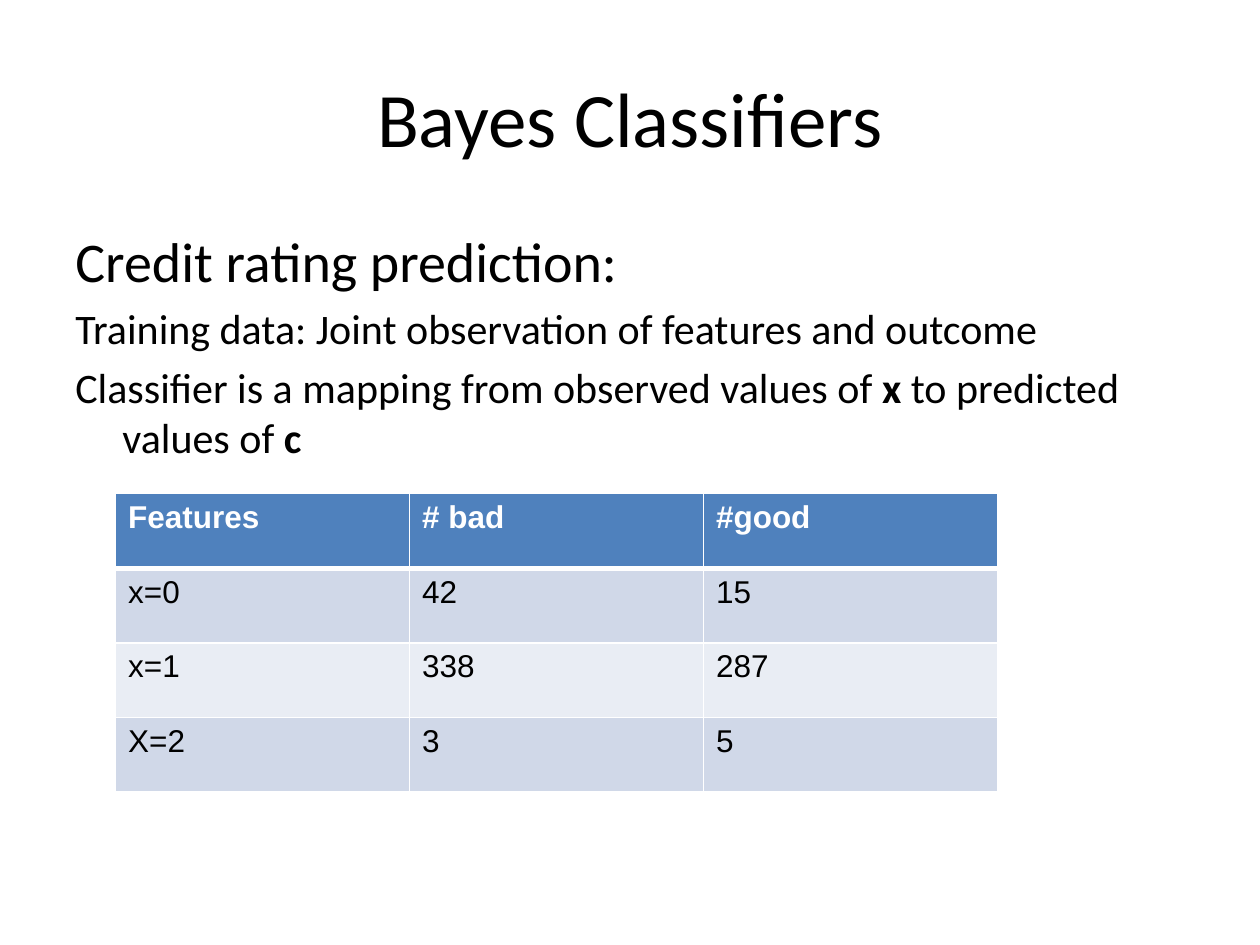
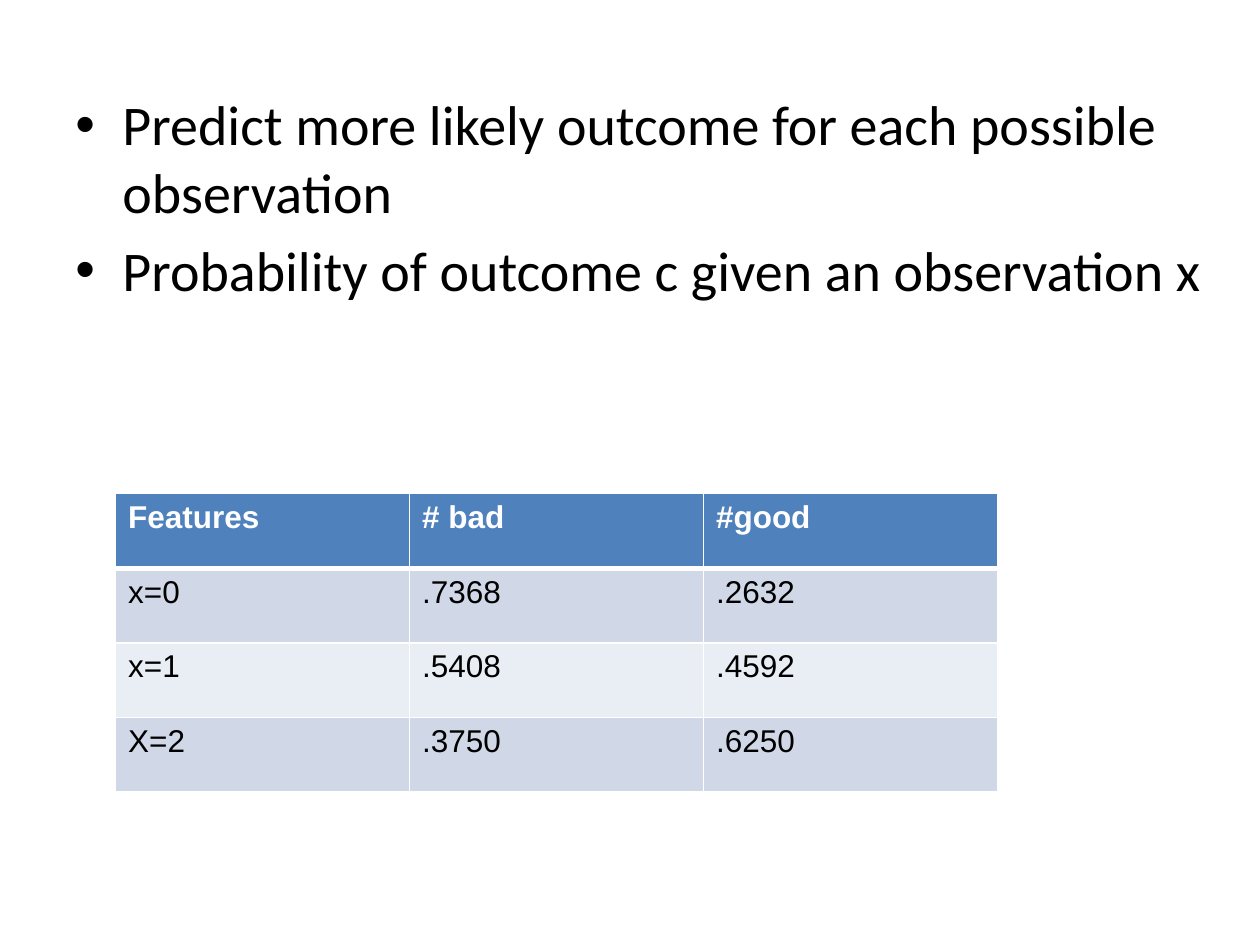
from lxml.etree import SubElement as Sub
from pptx import Presentation
from pptx.dml.color import RGBColor
from pptx.enum.text import MSO_ANCHOR as Anchor, PP_ALIGN as Align
from pptx.oxml.ns import qn
from pptx.util import Cm, Pt

HEAD = ("Features", "# bad", "#good")
SLIDES = [
    {
        "title": "Bayes Classifiers",
        "box": (1.27, 4.45, 22.86, 13.77),
        "bullet": False,
        "text": [
            (32, [("Credit rating prediction:", False)]),
            (24, [("Training data: Joint observation of features and outcome", False)]),
            (24, [
                ("Classifier is a mapping from observed values of ", False),
                ("x", True),
                (" to predicted values of ", False),
                ("c", True),
            ]),
        ],
        "rows": [("x=0", "42", "15"), ("x=1", "338", "287"), ("X=2", "3", "5")],
    },
    {
        "title": None,
        "box": (1.27, 1.69, 23.5, 16.51),
        "bullet": True,
        "text": [
            (32, [("Predict more likely outcome for each possible observation", False)]),
            (32, [("Probability of outcome c given an observation x", False)]),
        ],
        "rows": [
            ("x=0", ".7368", ".2632"),
            ("x=1", ".5408", ".4592"),
            ("X=2", ".3750", ".6250"),
        ],
    },
]

BLACK, WHITE, BLUE = "000000", "FFFFFF", "4F81BD"
BANDS = ("D0D8E8", "E9EDF4")
TITLE = (1.27, 0.76, 22.86, 3.18)
TABLE = (2.33, 9.95, 17.78, 6.02)
INDENT = Cm(0.95)


def color(code):
    return RGBColor.from_string(code)


def style(run, size, face, code=BLACK, bold=False):
    font = run.font
    font.size, font.name, font.bold = Pt(size), face, bold
    font.color.rgb = color(code)


def add_title(slide, text):
    shape = slide.shapes.title
    shape.left, shape.top, shape.width, shape.height = map(Cm, TITLE)
    frame = shape.text_frame
    frame.text = text
    frame.vertical_anchor = Anchor.MIDDLE
    para = frame.paragraphs[0]
    para.alignment = Align.CENTER
    style(para.runs[0], 44, "Calibri")


def add_body(slide, box, text, bullet):
    frame = slide.shapes.add_textbox(*map(Cm, box)).text_frame
    frame.word_wrap = True
    for num, (size, parts) in enumerate(text):
        para = frame.add_paragraph() if num else frame.paragraphs[0]
        para.space_before = Pt(size * 0.2)
        props = para._p.get_or_add_pPr()
        props.set("marL", str(INDENT))
        props.set("indent", str(-INDENT))
        if bullet:
            Sub(props, qn("a:buFont"), typeface="Arial")
            Sub(props, qn("a:buChar"), char="•")
        for words, bold in parts:
            run = para.add_run()
            run.text = words
            style(run, size, "Calibri", bold=bold)


def add_edges(cell, row):
    props = cell._tc.get_or_add_tcPr()
    thick = {0: "B", 1: "T"}.get(row)
    for side in "LRTB":
        width = Pt(3 if side == thick else 1)
        line = Sub(props, qn(f"a:ln{side}"), w=str(width))
        fill = Sub(line, qn("a:solidFill"))
        Sub(fill, qn("a:srgbClr"), val=WHITE)


def add_grid(slide, rows):
    data = [HEAD, *rows]
    frame = slide.shapes.add_table(len(data), len(HEAD), *map(Cm, TABLE))
    for row, texts in enumerate(data):
        for col, text in enumerate(texts):
            cell = frame.table.cell(row, col)
            cell.text_frame.text = text
            add_edges(cell, row)
            cell.fill.solid()
            cell.fill.fore_color.rgb = color(BANDS[(row - 1) % 2] if row else BLUE)
            run = cell.text_frame.paragraphs[0].runs[0]
            style(run, 18, "Arial", BLACK if row else WHITE, row == 0)


def main():
    deck = Presentation()
    deck.slide_width, deck.slide_height = Cm(25.4), Cm(19.05)
    titled, blank = deck.slide_layouts[5], deck.slide_layouts[6]
    for item in SLIDES:
        slide = deck.slides.add_slide(titled if item["title"] else blank)
        if item["title"]:
            add_title(slide, item["title"])
        add_body(slide, item["box"], item["text"], item["bullet"])
        add_grid(slide, item["rows"])
    deck.save("out.pptx")


if __name__ == "__main__":
    main()
